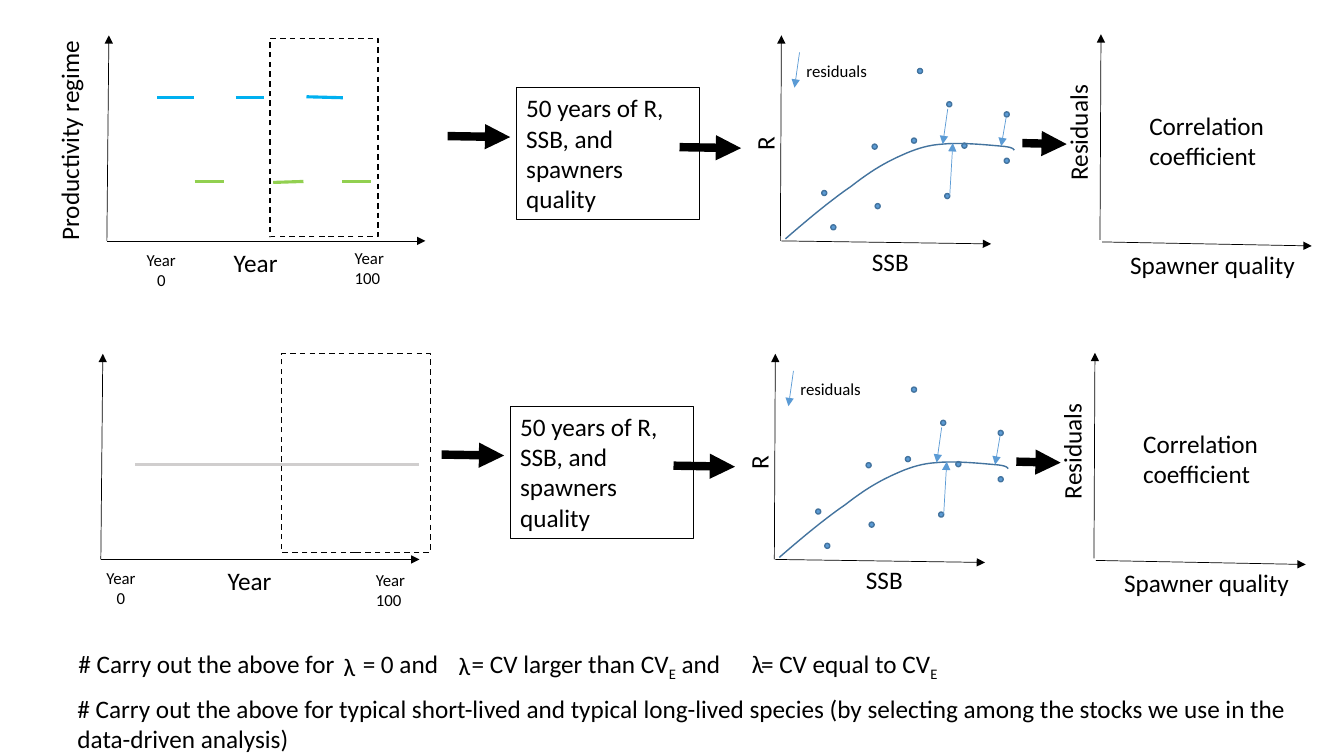
from dataclasses import dataclass

from lxml import etree
from pptx import Presentation
from pptx.dml.color import RGBColor
from pptx.enum.dml import MSO_LINE
from pptx.enum.shapes import MSO_CONNECTOR, MSO_SHAPE
from pptx.enum.text import MSO_AUTO_SIZE as Fit, PP_ALIGN as Align
from pptx.oxml.ns import qn
from pptx.util import Inches, Pt

BLACK, BLUE, NAVY = "000000", "5B9BD5", "43739E"
SKY, GREEN, GREY = "00B0F0", "92D050", "D0CECE"
DOT = 0.05


@dataclass(frozen=True)
class Line:
    x1: float
    y1: float
    x2: float
    y2: float
    color: str = BLACK
    width: float = 0.5
    arrow: bool = True


@dataclass(frozen=True)
class Label:
    x: float
    y: float
    w: float
    h: float
    text: str
    size: int = 18
    turn: int = 0
    align: Align = Align.LEFT
    boxed: bool = False


@dataclass(frozen=True)
class Row:
    """One line of panels; dx and dy move the shared parts."""
    dx: float
    dy: float
    labels: list[Label]
    levels: list[Line]
    window: tuple[float, float, float, float]


AXES = [
    Line(1.06, 2.39, 1.08, 0.35), Line(1.06, 2.39, 4.22, 2.39),
    Line(7.74, 2.39, 7.75, 0.35), Line(7.75, 2.39, 9.83, 2.42),
    Line(10.91, 2.38, 10.92, 0.34), Line(10.93, 2.4, 13.01, 2.44),
]
STEPS = [
    Line(4.44, 1.35, 5.06, 1.36, width=6),
    Line(6.74, 1.46, 7.35, 1.47, width=6),
    Line(10.14, 1.42, 10.58, 1.43, width=6),
]
GAPS = [
    Line(9.98, 1.16, 9.93, 1.45, BLUE), Line(9.4, 1.08, 9.35, 1.43, BLUE),
    Line(9.42, 1.94, 9.45, 1.42, BLUE), Line(7.93, 0.52, 7.88, 0.87, BLUE),
]
LABELS = [
    Label(2.22, 2.4, 0.87, 0.4, "Year"),
    Label(5.12, 0.87, 1.82, 1.31, "50 years of R, SSB, and spawners quality",
          boxed=True),
    Label(8.55, 2.39, 0.87, 0.4, "SSB"),
    Label(7.15, 0.96, 0.87, 0.4, "R", turn=270),
    Label(7.9, 0.55, 1.54, 0.3, "residuals", 12),
    Label(11.11, 2.42, 1.9, 0.4, "Spawner quality"),
    Label(9.74, 0.74, 1.9, 0.4, "Residuals", turn=270),
    Label(11.3, 1.04, 1.71, 0.71, "Correlation coefficient"),
]
DOTS = [
    (8.65, 1.43), (9.1, 0.68), (9.04, 1.37), (8.68, 2.02), (9.54, 1.42),
    (9.37, 1.92), (8.15, 1.89), (8.24, 2.23), (9.96, 1.57), (9.96, 1.11),
    (9.39, 1.01),
]
CURVE = [
    (7.79, 2.37), (8.02, 2.17), (8.25, 1.98), (8.44, 1.85),
    (8.62, 1.71), (8.75, 1.63), (8.9, 1.56),
    (9.05, 1.49), (9.18, 1.44), (9.35, 1.43),
    (9.52, 1.41), (9.81, 1.44), (9.93, 1.45),
    (10.05, 1.46), (10.05, 1.48), (10.06, 1.49),
]


def level(x1: float, y1: float, x2: float, y2: float, color: str) -> Line:
    return Line(x1, y1, x2, y2, color, 2.25, False)


ROWS = [
    Row(0, 0, [
        Label(-1.28, 0.32, 3.93, 0.4, "Productivity regime", turn=270),
        Label(3.42, 2.41, 0.64, 0.5, "Year 100", 12),
        Label(1.28, 2.43, 0.64, 0.5, "Year\n0", 12, align=Align.CENTER),
    ], [
        level(1.56, 0.97, 1.92, 0.97, SKY), level(2.34, 0.97, 2.62, 0.97, SKY),
        level(3.04, 0.96, 3.4, 0.97, SKY), level(1.93, 1.8, 2.22, 1.8, GREEN),
        level(2.71, 1.81, 3.01, 1.8, GREEN), level(3.39, 1.8, 3.68, 1.8, GREEN),
    ], (2.68, 0.38, 1.07, 1.97)),
    Row(-0.06, 3.16, [
        Label(3.63, 5.6, 0.64, 0.5, "Year 100", 12),
        Label(0.88, 5.58, 0.64, 0.5, "Year\n0", 12, align=Align.CENTER),
    ], [level(1.34, 4.61, 4.16, 4.61, GREY)], (2.79, 3.51, 1.48, 1.97)),
]
NOTES = [
    Label(3.31, 6.41, 0.3, 0.4, "λ"),
    Label(4.45, 6.4, 0.3, 0.4, "λ"),
    Label(7.36, 6.38, 0.3, 0.4, "λ"),
    Label(0.67, 6.83, 12.48, 0.71,
          "# Carry out the above for typical short-lived and typical long-lived "
          "species (by selecting among the stocks we use in the data-driven "
          "analysis)"),
]
CASES = Label(0.68, 6.38, 10.37, 0.4,
              "# Carry out the above for\t= 0 and\t= CV larger than CV")
TAILS = [("E", True), (" and\t= CV equal to CV", False), ("E", True)]
TABS = [2.82, 3.9, 6.77]


def rgb(color: str) -> RGBColor:
    return RGBColor.from_string(color)


def style(run, size: int) -> None:
    run.font.name, run.font.size = "Calibri", Pt(size)
    run.font.color.rgb = rgb(BLACK)


def edge(shape, color: str, width: float) -> None:
    shape.line.color.rgb, shape.line.width = rgb(color), Pt(width)


def write(shapes, label: Label, dx: float = 0, dy: float = 0):
    box = shapes.add_textbox(Inches(label.x + dx), Inches(label.y + dy),
                             Inches(label.w), Inches(label.h))
    box.rotation = label.turn
    frame = box.text_frame
    frame.word_wrap, frame.auto_size = True, Fit.SHAPE_TO_FIT_TEXT
    frame.text = label.text
    for para in frame.paragraphs:
        para.alignment = label.align
        for run in para.runs:
            style(run, label.size)
    if label.boxed:
        edge(box, BLACK, 0.75)
    return box


def stroke(shapes, line: Line, dx: float = 0, dy: float = 0) -> None:
    link = shapes.add_connector(
        MSO_CONNECTOR.STRAIGHT, Inches(line.x1 + dx), Inches(line.y1 + dy),
        Inches(line.x2 + dx), Inches(line.y2 + dy))
    edge(link, line.color, line.width)
    if line.arrow:
        etree.SubElement(link.line._get_or_add_ln(), qn("a:tailEnd"),
                         type="triangle")
    etree.SubElement(link._element.spPr, qn("a:effectLst"))


def frame_years(shapes, window: tuple[float, float, float, float]) -> None:
    rect = shapes.add_shape(MSO_SHAPE.RECTANGLE, *map(Inches, window))
    rect.shadow.inherit = False
    rect.fill.background()
    edge(rect, BLACK, 1)
    rect.line.dash_style = MSO_LINE.DASH


def mark(shapes, x: float, y: float) -> None:
    dot = shapes.add_shape(MSO_SHAPE.OVAL, Inches(x), Inches(y),
                           Inches(DOT), Inches(DOT))
    dot.shadow.inherit = False
    dot.fill.solid()
    dot.fill.fore_color.rgb = rgb(BLUE)
    edge(dot, NAVY, 1)


def trace(knots: list[tuple[float, float]], steps: int = 10):
    """Points along a chain of cubic Bezier arcs, after the first knot."""
    for i in range(0, len(knots) - 1, 3):
        for k in range(1, steps + 1):
            t = k / steps
            parts = ((1 - t) ** 3, 3 * t * (1 - t) ** 2,
                     3 * t * t * (1 - t), t ** 3)
            yield tuple(sum(w * knot[axis] for w, knot in
                            zip(parts, knots[i:i + 4])) for axis in (0, 1))


def bend(shapes, dx: float, dy: float) -> None:
    knots = [(x + dx, y + dy) for x, y in CURVE]
    pen = shapes.build_freeform(*map(Inches, knots[0]))
    pen.add_line_segments([(Inches(x), Inches(y)) for x, y in trace(knots)],
                          close=False)
    curve = pen.convert_to_shape()
    curve.shadow.inherit = False
    curve.fill.background()
    edge(curve, NAVY, 1)


def list_cases(shapes) -> None:
    para = write(shapes, CASES).text_frame.paragraphs[0]
    for text, low in TAILS:
        run = para.add_run()
        run.text = text
        style(run, CASES.size)
        if low:
            run.font._element.set("baseline", "-25000")
    stops = etree.SubElement(para._p.get_or_add_pPr(), qn("a:tabLst"))
    for stop in TABS:
        etree.SubElement(stops, qn("a:tab"), pos=str(Inches(stop)), algn="l")


def main() -> None:
    deck = Presentation()
    deck.slide_width, deck.slide_height = Inches(13.33), Inches(7.5)
    shapes = deck.slides.add_slide(deck.slide_layouts[6]).shapes
    for row in ROWS:
        for label in LABELS:
            write(shapes, label, row.dx, row.dy)
        for label in row.labels:
            write(shapes, label)
        for line in row.levels:
            stroke(shapes, line)
        frame_years(shapes, row.window)
        for x, y in DOTS:
            mark(shapes, x + row.dx, y + row.dy)
        bend(shapes, row.dx, row.dy)
        for line in AXES + GAPS + STEPS:
            stroke(shapes, line, row.dx, row.dy)
    list_cases(shapes)
    for note in NOTES:
        write(shapes, note)
    deck.save("out.pptx")


if __name__ == "__main__":
    main()
